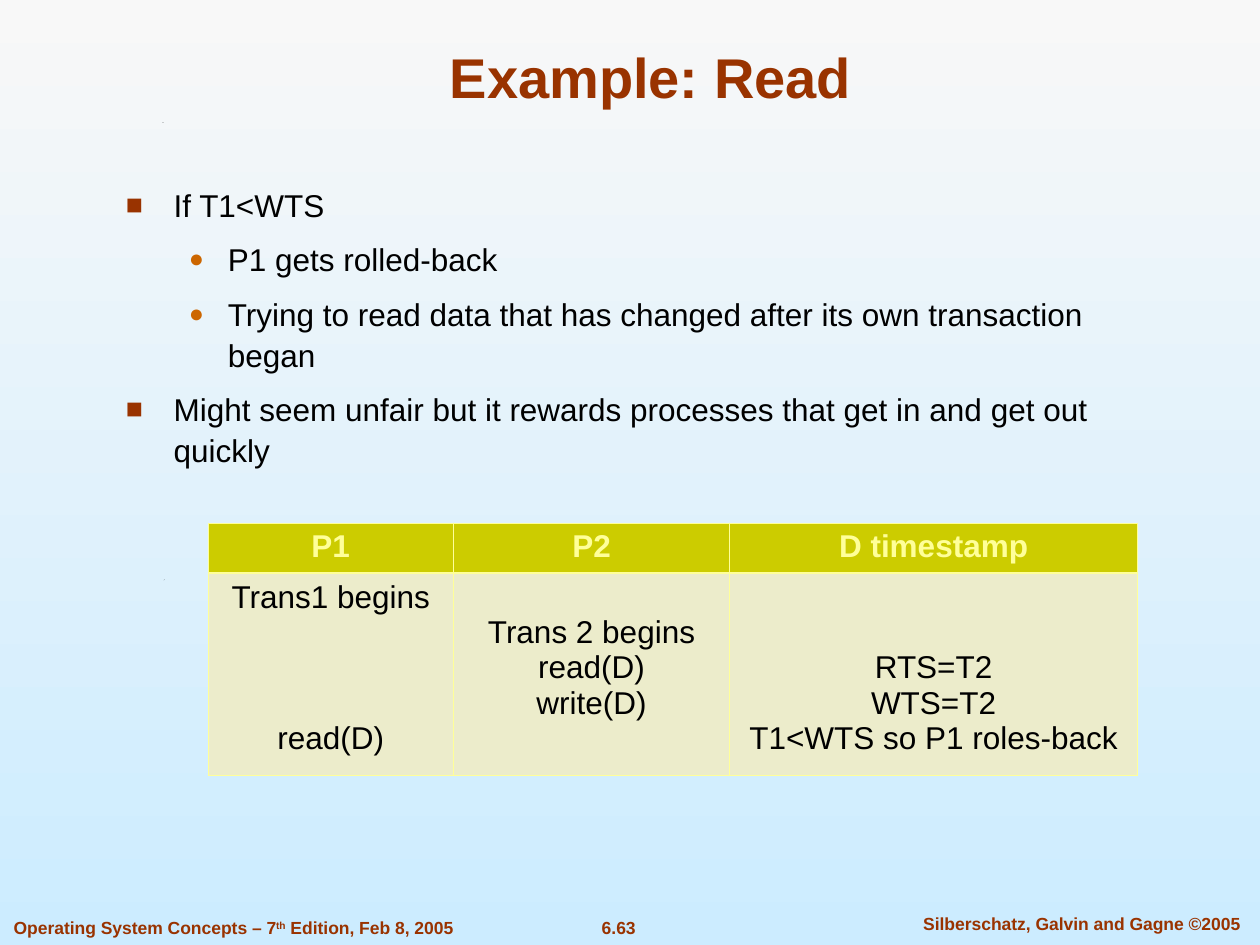
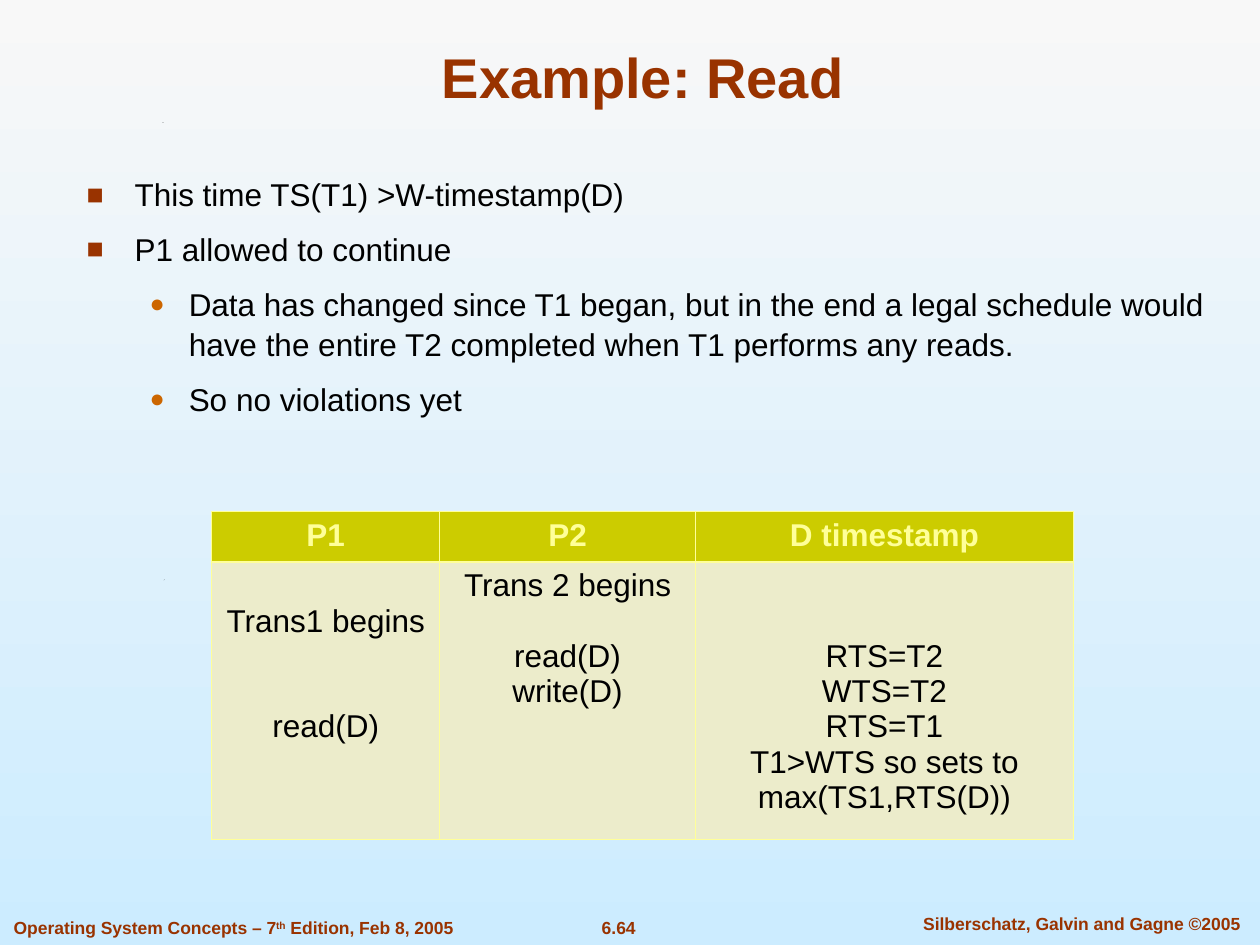
import pptx
import pptx.util
import pptx.dml.color
import pptx.enum.text
import pptx.oxml
import pptx.oxml.ns
from lxml import etree

Inches = pptx.util.Inches
Pt = pptx.util.Pt
RGBColor = pptx.dml.color.RGBColor
ALIGN = pptx.enum.text.PP_ALIGN
ANCHOR = pptx.enum.text.MSO_ANCHOR

SKY_TOP = RGBColor(0xF8, 0xF8, 0xF8)
SKY_END = RGBColor(0xCC, 0xEC, 0xFF)
RUST = RGBColor(0x99, 0x33, 0x00)
AMBER = RGBColor(0xCC, 0x66, 0x00)
BLACK = RGBColor(0x00, 0x00, 0x00)
OLIVE = RGBColor(0xCC, 0xCC, 0x00)
CREAM = RGBColor(0xEC, 0xEC, 0xCB)
LEMON = RGBColor(0xFF, 0xFF, 0x99)

FONT = "Arial"
LINE = Inches(0.28)
PAD = Inches(0.05)
THIN, THICK = Pt(0.45), Pt(1.47)
SPECKS = [(1760, 5425), (1300, 4600), (5650, 4600), (1290, 970)]
BULLETS = [("■", RUST, 90, 0.38, 0.38), ("●", AMBER, 80, 0.81, 0.31)]
HEADS = ["P1", "P2", "D timestamp"]


def write(para, words, size=18, color=BLACK, bold=False, align=None, base=0):
    """Add one formatted run to a paragraph."""
    run = para.add_run()
    run.text = words
    font = run.font
    font.name, font.size, font.bold = FONT, Pt(size), bold
    font.color.rgb = color
    if align is not None:
        para.alignment = align
    if base:
        run._r.get_or_add_rPr().set("baseline", str(base * 1000))


def add_box(slide, box, wrap=True):
    """Add an empty text box and return its frame."""
    frame = slide.shapes.add_textbox(*map(Inches, box)).text_frame
    frame.word_wrap = wrap
    return frame


def next_para(frame, index):
    """Return the first paragraph, or a new one after it."""
    return frame.add_paragraph() if index else frame.paragraphs[0]


def add_node(parent, tag, **attrs):
    """Append a drawing element to a parent."""
    node = etree.SubElement(parent, pptx.oxml.ns.qn("a:" + tag))
    for key, value in attrs.items():
        node.set(key, str(value))
    return node


def add_sky(slide):
    """Fill the background from top to bottom."""
    fill = slide.background.fill
    fill.gradient()
    fill.gradient_angle = 270
    for stop, color in zip(fill.gradient_stops, (SKY_TOP, SKY_END)):
        stop.color.rgb = color


def add_specks(slide):
    """Draw the tiny slivers that every slide shares."""
    for x, y in SPECKS:
        pen = slide.shapes.build_freeform(x, y + 4, scale=Inches(1) / 1000)
        pen.add_line_segments([(x + 8, y), (x, y + 6)])
        speck = pen.convert_to_shape()
        speck.shadow.inherit = False
        speck.fill.solid()
        speck.fill.fore_color.rgb = BLACK
        speck.line.fill.background()


def add_footer(slide, number):
    """Write the edition, page number and copyright line."""
    style = dict(size=10, color=RUST, bold=True)
    para = add_box(slide, (0.01, 7.23, 3.69, 0.27), wrap=False).paragraphs[0]
    write(para, "Operating System Concepts – 7", **style)
    write(para, "th", base=30, **style)
    write(para, " Edition, Feb 8, 2005", **style)
    page = add_box(slide, (4.42, 7.23, 0.98, 0.27))
    write(page.paragraphs[0], number, align=ALIGN.CENTER, **style)
    owner = add_box(slide, (7.1, 7.2, 2.97, 0.27))
    write(owner.paragraphs[0], "Silberschatz, Galvin and Gagne ©2005",
          align=ALIGN.CENTER, **style)


def add_title(slide, title):
    """Write the slide title."""
    frame = add_box(slide, (0.75, 0.25, 8.83, 0.67))
    frame.vertical_anchor = ANCHOR.BOTTOM
    write(frame.paragraphs[0], title, size=32, color=RUST, bold=True,
          align=ALIGN.CENTER)


def add_points(slide, box, points):
    """Write bulleted points, each a level and its words."""
    frame = add_box(slide, box)
    for index, (level, words) in enumerate(points):
        para = next_para(frame, index)
        mark, color, share, left, hang = BULLETS[level]
        props = para._p.get_or_add_pPr()
        props.set("marL", str(Inches(left)))
        props.set("indent", str(-Inches(hang)))
        add_node(add_node(props, "buClr"), "srgbClr", val=color)
        add_node(props, "buSzPct", val=share * 1000)
        add_node(props, "buFont", typeface=FONT)
        add_node(props, "buChar", char=mark)
        para.level = level
        para.line_spacing = 1.08
        if index:
            para.space_before = Pt(7.9)
        write(para, words)


def style_cell(cell, fill, top, bottom):
    """Set the borders, fill and side margins of a cell."""
    props = cell._tc.get_or_add_tcPr()
    for side, width in zip("LRTB", (THIN, THIN, top, bottom)):
        edge = add_node(props, "ln" + side, w=int(width))
        add_node(add_node(edge, "solidFill"), "srgbClr", val=LEMON)
    cell.fill.solid()
    cell.fill.fore_color.rgb = fill
    cell.margin_top = cell.margin_bottom = PAD


def fill_steps(cell, steps):
    """Write steps on their time lines, counted from the cell top."""
    cell.margin_top = PAD + LINE * steps[0][0]
    last = steps[0][0] - 1
    for index, (line, words) in enumerate(steps):
        para = next_para(cell.text_frame, index)
        if index:
            para.space_before = LINE * (line - last - 1)
        write(para, words, align=ALIGN.CENTER)
        last = line


def add_schedule(slide, spot, widths, heights, columns):
    """Draw the schedule table with one list of steps per column."""
    size = sum(widths), sum(heights)
    table = slide.shapes.add_table(
        2, len(widths), *map(Inches, spot + size)).table
    table.first_row = table.horz_banding = False
    for row, height in zip(table.rows, heights):
        row.height = Inches(height)
    for index, (width, head, steps) in enumerate(zip(widths, HEADS, columns)):
        table.columns[index].width = Inches(width)
        top, body = table.cell(0, index), table.cell(1, index)
        style_cell(top, OLIVE, THIN, THICK)
        write(top.text_frame.paragraphs[0], head, color=LEMON, bold=True,
              align=ALIGN.CENTER)
        style_cell(body, CREAM, THICK, THIN)
        fill_steps(body, steps)


def add_slide(deck, number, title, points, table):
    """Build one example slide."""
    slide = deck.slides.add_slide(deck.slide_layouts[6])
    add_sky(slide)
    add_specks(slide)
    add_footer(slide, number)
    add_title(slide, title)
    add_points(slide, *points)
    add_schedule(slide, *table)


def main():
    """Build and save the deck."""
    deck = pptx.Presentation()
    deck.slide_width, deck.slide_height = Inches(10), Inches(7.5)
    add_slide(
        deck, "6.63", "Example: Read",
        ((0.9, 1.4, 8.04, 4.9), [
            (0, "If T1<WTS"),
            (1, "P1 gets rolled-back"),
            (1, "Trying to read data that has changed after its own "
                "transaction began"),
            (0, "Might seem unfair but it rewards processes that get in "
                "and get out quickly")]),
        ((1.65, 4.15), (1.95, 2.19, 3.24), (0.4, 1.6), [
            [(0, "Trans1 begins"), (4, "read(D)")],
            [(1, "Trans 2 begins"), (2, "read(D)"), (3, "write(D)")],
            [(2, "RTS=T2"), (3, "WTS=T2"), (4, "T1<WTS so P1 roles-back")]]))
    add_slide(
        deck, "6.64", "Example: Read ",
        ((0.59, 1.32, 9.1, 4.9), [
            (0, "This time TS(T1) >W-timestamp(D)"),
            (0, "P1 allowed to continue"),
            (1, "Data has changed since T1 began, but in the end a legal "
                "schedule would have the entire T2 completed when T1 "
                "performs any reads."),
            (1, "So no violations yet")]),
        ((1.68, 4.06), (1.81, 2.03, 3), (0.4, 2.2), [
            [(1, "Trans1 begins"), (4, "read(D)")],
            [(0, "Trans 2 begins"), (2, "read(D)"), (3, "write(D)")],
            [(2, "RTS=T2"), (3, "WTS=T2"), (4, "RTS=T1"),
             (5, "T1>WTS so sets to max(TS1,RTS(D))")]]))
    deck.save("out.pptx")


if __name__ == "__main__":
    main()
